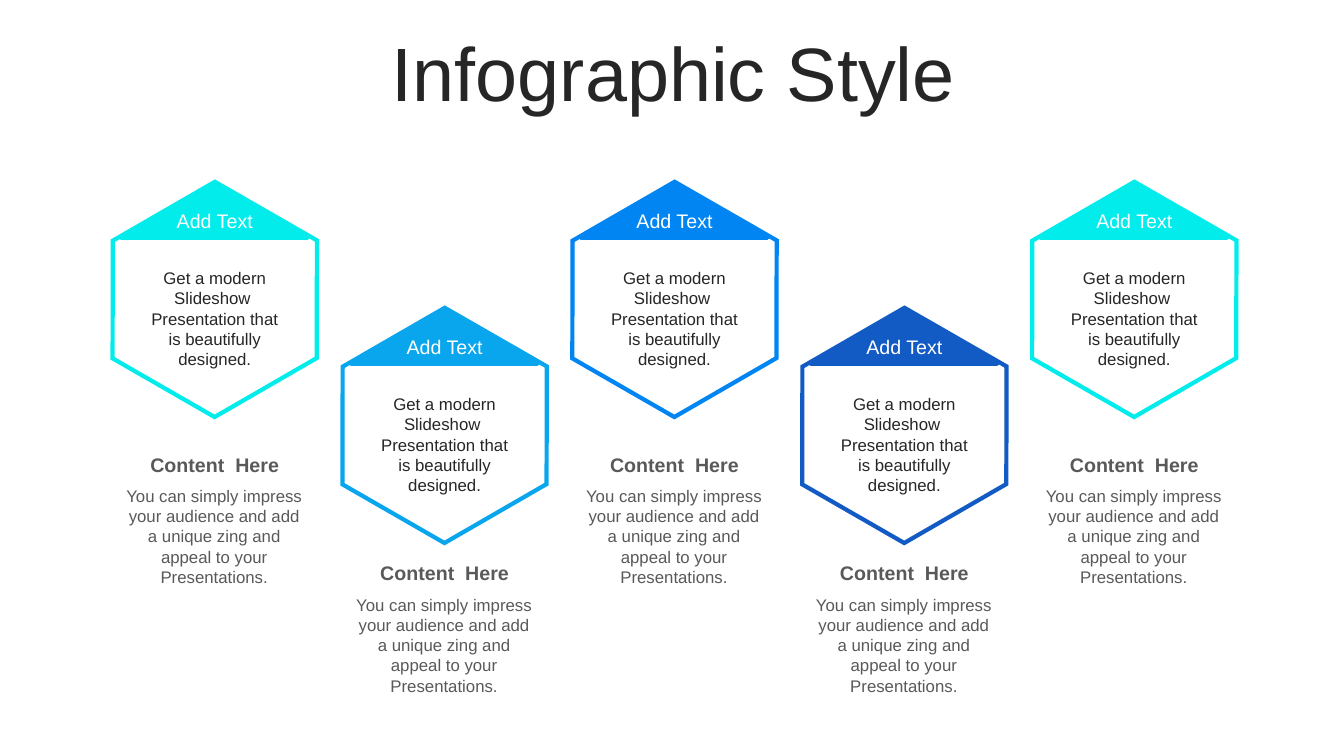
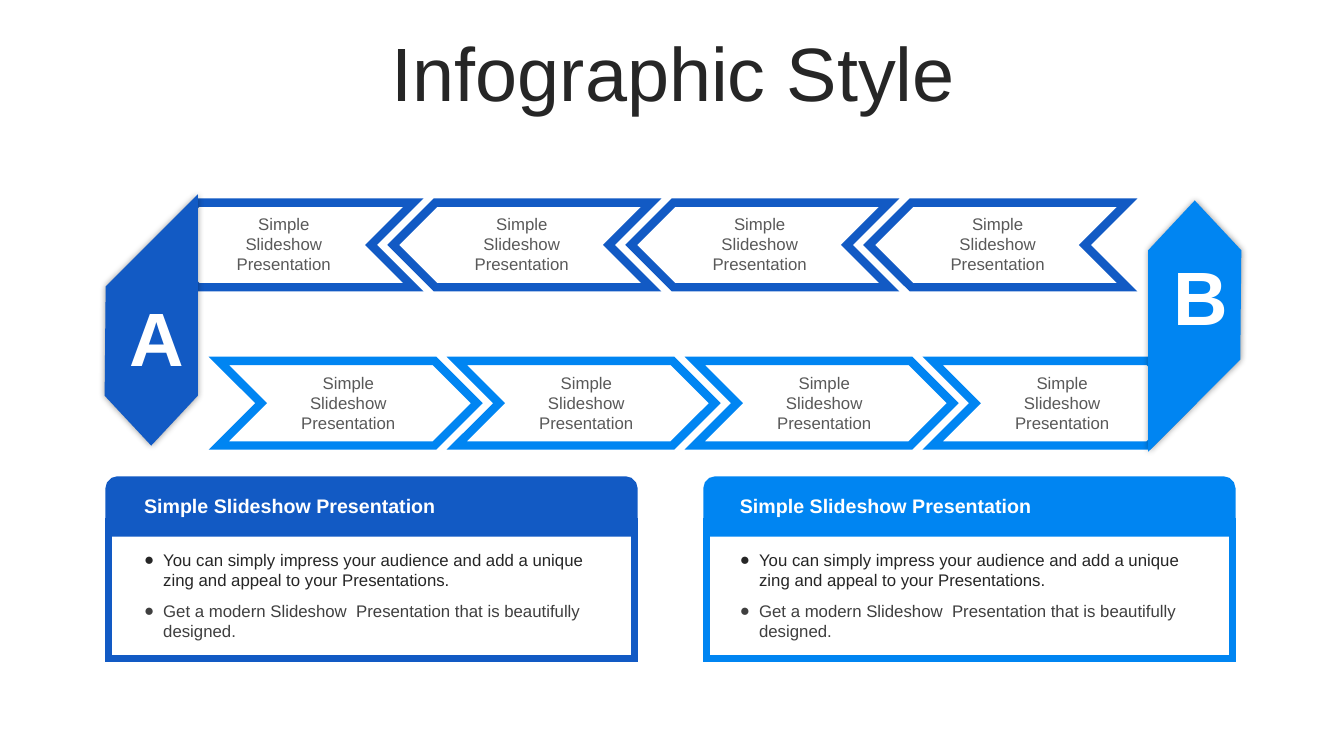
from dataclasses import dataclass

from lxml.etree import SubElement
from pptx import Presentation
from pptx.dml.color import RGBColor
from pptx.enum.shapes import MSO_SHAPE as Preset
from pptx.enum.text import MSO_ANCHOR as Anchor, PP_ALIGN as Align
from pptx.oxml.ns import qn
from pptx.shapes.autoshape import Shape
from pptx.slide import Slide
from pptx.text.text import _Paragraph as Paragraph
from pptx.util import Pt

SCALE = 9144
FONT = "Arial"
WHITE = RGBColor(0xFF, 0xFF, 0xFF)
INK = RGBColor(0x26, 0x26, 0x26)
CHARCOAL = RGBColor(0x3F, 0x3F, 0x3F)
GREY = RGBColor(0x59, 0x59, 0x59)
CYAN = RGBColor(0x02, 0xEC, 0xEC)
SKY = RGBColor(0x0A, 0xA6, 0xED)
BLUE = RGBColor(0x00, 0x85, 0xF2)
NAVY = RGBColor(0x12, 0x5A, 0xC4)

IMPRESS = "You can simply impress your audience and add a unique zing and appeal to your Presentations."
MODERN = "Get a modern Slideshow  Presentation that is beautifully designed."
SIMPLE = "Simple Slideshow Presentation"

COLUMN_STEP = 228
HEXAGON_DROP = 125
CAPTION_DROP = 108
CHEVRON_STEP = 236
CHEVRON_COUNT = 4


@dataclass(frozen=True)
class Area:
    left: int
    top: int
    width: int
    height: int

    def shifted(self, right: int, down: int = 0) -> "Area":
        return Area(self.left + right, self.top + down, self.width, self.height)

    def emu(self) -> tuple[int, int, int, int]:
        return (self.left * SCALE, self.top * SCALE, self.width * SCALE, self.height * SCALE)


@dataclass(frozen=True)
class TextStyle:
    size: int
    color: RGBColor
    bold: bool = False
    align: Align = Align.CENTER


@dataclass(frozen=True)
class Column:
    color: RGBColor
    lowered: bool


@dataclass(frozen=True)
class ChevronRow:
    first: Area
    first_label: Area
    color: RGBColor
    rotation: int


@dataclass(frozen=True)
class Banner:
    letter: str
    letter_area: Area
    outline: tuple[tuple[int, int], ...]
    color: RGBColor


@dataclass(frozen=True)
class Card:
    left: int
    text_left: int
    color: RGBColor


TITLE = TextStyle(54, INK)
HEXAGON_TITLE = TextStyle(14, WHITE)
HEXAGON_BODY = TextStyle(12, INK)
CAPTION_TITLE = TextStyle(14, GREY, bold=True)
CAPTION_BODY = TextStyle(12, GREY)
BANNER_LETTER = TextStyle(54, WHITE, bold=True)
CARD_TITLE = TextStyle(14, WHITE, bold=True, align=Align.LEFT)
CARD_POINTS = (
    (IMPRESS, TextStyle(12, INK, align=Align.LEFT)),
    (MODERN, TextStyle(12, CHARCOAL, align=Align.LEFT)),
)

COLUMNS = (
    Column(CYAN, False),
    Column(SKY, True),
    Column(BLUE, False),
    Column(NAVY, True),
    Column(CYAN, False),
)
ROWS = (
    ChevronRow(Area(154, 201, 256, 84), Area(221, 207, 121, 71), NAVY, 180),
    ChevronRow(Area(217, 358, 256, 84), Area(285, 365, 121, 71), BLUE, 0),
)
BANNERS = (
    Banner("A", Area(119, 284, 63, 101),
           ((192, 203), (192, 391), (150, 436), (108, 391), (109, 286)), NAVY),
    Banner("B", Area(1154, 243, 63, 101),
           ((1143, 438), (1143, 250), (1185, 205), (1227, 250), (1226, 355)), BLUE),
)
CARDS = (Card(108, 133, NAVY), Card(701, 724, BLUE))


def write(para: Paragraph, text: str, style: TextStyle) -> None:
    para.text = text
    para.alignment = style.align
    para.font.name = FONT
    para.font.size = Pt(style.size)
    para.font.bold = style.bold
    para.font.color.rgb = style.color


def add_text(page: Slide, area: Area, text: str, style: TextStyle) -> Shape:
    box = page.shapes.add_textbox(*area.emu())
    box.text_frame.word_wrap = True
    write(box.text_frame.paragraphs[0], text, style)
    return box


def paint(shape: Shape, fill: RGBColor, line: RGBColor, width: int, join: str = "miter") -> None:
    shape.shadow.inherit = False
    shape.fill.solid()
    shape.fill.fore_color.rgb = fill
    shape.line.color.rgb = line
    shape.line.width = Pt(width)
    corner = SubElement(shape.line._get_or_add_ln(), qn(f"a:{join}"))
    if join == "miter":
        corner.set("lim", "800000")


def add_preset(page: Slide, preset: Preset, area: Area, rotation: int = 0) -> Shape:
    shape = page.shapes.add_shape(preset, *area.emu())
    shape.rotation = rotation
    return shape


def add_glow(shape: Shape) -> None:
    effects = shape._element.spPr.find(qn("a:effectLst"))
    shadow = SubElement(effects, qn("a:outerShdw"), blurRad=str(Pt(5)), dist="0", dir="0")
    color = SubElement(shadow, qn("a:srgbClr"), val="000000")
    SubElement(color, qn("a:alpha"), val="40000")


def add_bullet(para: Paragraph, color: RGBColor) -> None:
    properties = para._p.get_or_add_pPr()
    properties.set("marL", str(19 * SCALE))
    properties.set("indent", str(-19 * SCALE))
    bullet_color = SubElement(properties, qn("a:buClr"))
    SubElement(bullet_color, qn("a:srgbClr"), val=str(color))
    SubElement(properties, qn("a:buFont"), typeface=FONT)
    SubElement(properties, qn("a:buChar"), char="●")
    defaults = properties.find(qn("a:defRPr"))
    if defaults is not None:
        properties.append(defaults)


def add_page(deck: Presentation) -> Slide:
    page = deck.slides.add_slide(deck.slide_layouts[6])
    box = add_text(page, Area(35, 37, 1266, 79), "Infographic Style", TITLE)
    box.text_frame.vertical_anchor = Anchor.MIDDLE
    box.text_frame.paragraphs[0].line_spacing = 0.9
    return page


def draw_column(page: Slide, column: Column, right: int) -> None:
    down = HEXAGON_DROP if column.lowered else 0
    hexagon = add_preset(page, Preset.HEXAGON, Area(96, 196, 234, 202).shifted(right, down), 330)
    hexagon.adjustments[0] = 0.29
    paint(hexagon, WHITE, column.color, 3)
    roof = add_preset(page, Preset.ISOSCELES_TRIANGLE, Area(120, 183, 185, 53).shifted(right, down))
    paint(roof, column.color, column.color, 3, "round")
    add_text(page, Area(132, 202, 162, 34).shifted(right, down), "Add Text", HEXAGON_TITLE)
    add_text(page, Area(132, 261, 162, 111).shifted(right, down), MODERN, HEXAGON_BODY)

    down = CAPTION_DROP if column.lowered else 0
    add_text(page, Area(112, 444, 202, 34).shifted(right, down), "Content  Here", CAPTION_TITLE)
    add_text(page, Area(113, 477, 199, 111).shifted(right, down), IMPRESS, CAPTION_BODY)


def draw_chevron_row(page: Slide, row: ChevronRow) -> None:
    for index in range(CHEVRON_COUNT):
        right = index * CHEVRON_STEP
        chevron = add_preset(page, Preset.CHEVRON, row.first.shifted(right), row.rotation)
        paint(chevron, WHITE, row.color, 6)
        add_text(page, row.first_label.shifted(right), SIMPLE, CAPTION_BODY)


def draw_banner(page: Slide, banner: Banner) -> None:
    start, *others = banner.outline
    builder = page.shapes.build_freeform(*start, scale=SCALE)
    builder.add_line_segments(others, close=True)
    shape = builder.convert_to_shape()
    paint(shape, banner.color, banner.color, 6)
    add_glow(shape)
    add_text(page, banner.letter_area, banner.letter, BANNER_LETTER)


def draw_card(page: Slide, card: Card) -> None:
    body = add_preset(page, Preset.RECTANGLE, Area(card.left, 517, 521, 136))
    paint(body, WHITE, card.color, 5)
    header = add_preset(page, Preset.ROUND_2_SAME_RECTANGLE, Area(card.left, 476, 521, 53))
    paint(header, card.color, card.color, 5)
    add_text(page, Area(card.text_left, 485, 475, 34), SIMPLE, CARD_TITLE)

    (text, style), *others = CARD_POINTS
    box = add_text(page, Area(card.text_left, 540, 475, 102), text, style)
    add_bullet(box.text_frame.paragraphs[0], style.color)
    for text, style in others:
        para = box.text_frame.add_paragraph()
        write(para, text, style)
        para.space_before = Pt(8)
        add_bullet(para, style.color)


def main() -> None:
    deck = Presentation()
    deck.slide_width = 1333 * SCALE
    deck.slide_height = 750 * SCALE

    hexagon_page = add_page(deck)
    for index, column in enumerate(COLUMNS):
        draw_column(hexagon_page, column, index * COLUMN_STEP)

    process_page = add_page(deck)
    for row in ROWS:
        draw_chevron_row(process_page, row)
    for banner in BANNERS:
        draw_banner(process_page, banner)
    for card in CARDS:
        draw_card(process_page, card)

    deck.save("out.pptx")


if __name__ == "__main__":
    main()
